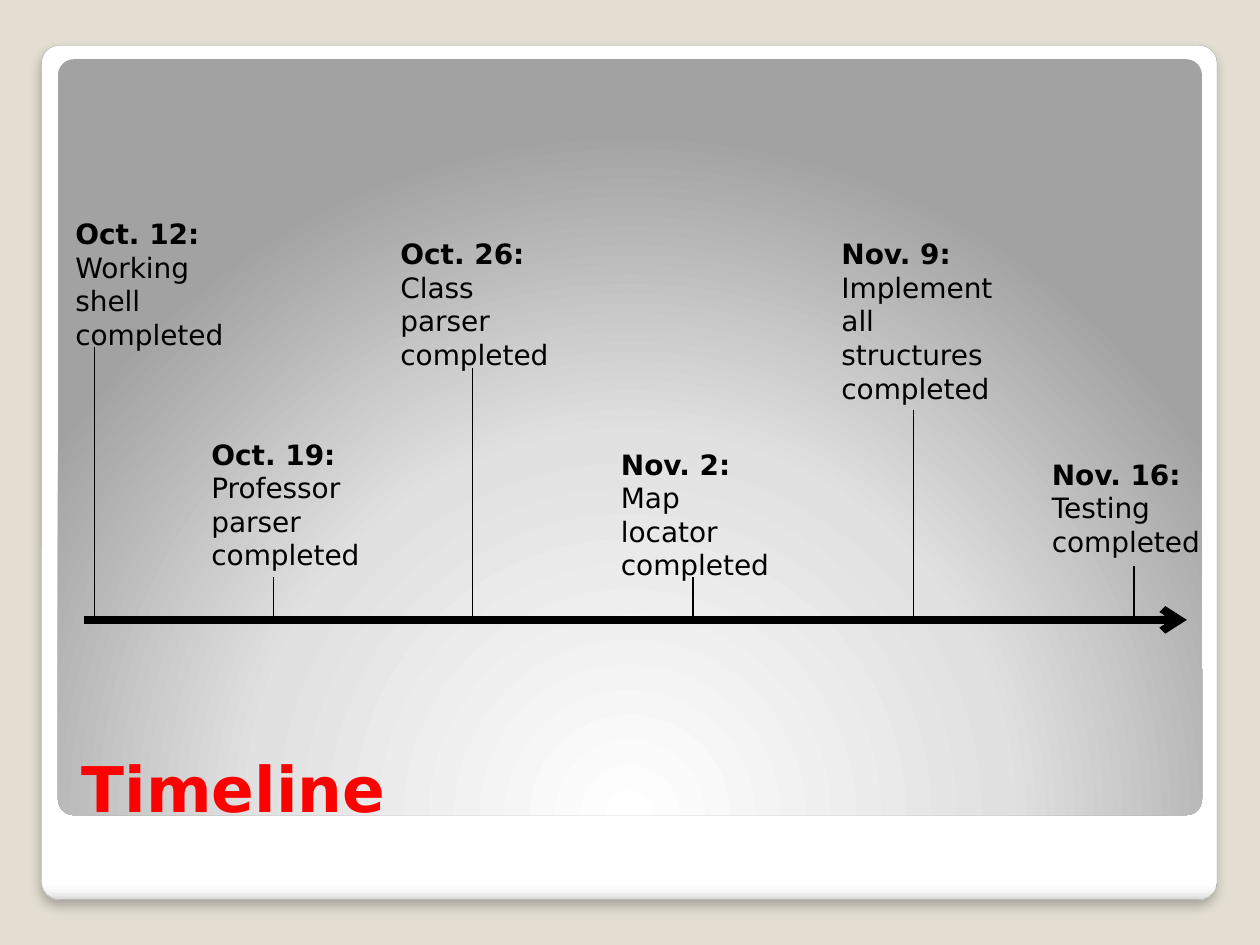
from lxml import etree
from pptx import Presentation, oxml, util as u
from pptx.dml.color import RGBColor
from pptx.enum import shapes, text
from pptx.oxml import ns

COLORS = {"backdrop": "E3DED1", "edge": "A4A4A4", "ink": "000000", "title": "FF0000"}
FONT = "DejaVu Sans"
AXIS_Y = 4.92


def style_font(font, **values):
    font.name = FONT
    font.color.rgb = RGBColor.from_string(values.pop("color"))
    for name, value in values.items():
        setattr(font, name, value)


def draw_line(start, end, width):
    line = slide.shapes.add_connector(
        shapes.MSO_CONNECTOR.STRAIGHT, *[u.Inches(v) for v in start + end])
    line.line.width = u.Pt(width)
    line.line.color.rgb = RGBColor.from_string(COLORS["ink"])
    etree.SubElement(line._element.spPr, ns.qn("a:effectLst"))
    return line


deck = Presentation()
deck.slide_width, deck.slide_height = u.Inches(10), u.Inches(7.5)
slide = deck.slides.add_slide(deck.slide_layouts[5])
slide.background.fill.solid()
slide.background.fill.fore_color.rgb = RGBColor.from_string(COLORS["backdrop"])

panels = [
    ((0.33, 0.36, 9.33, 6.78),
     [(0, "FFFFFF"), (98, "FFFFFF"), (99, "F7F7F7"), (100, "DADADA")],
     '<a:lin ang="5400000" scaled="0"/>'),
    ((0.46, 0.47, 9.08, 6),
     [(0, "FFFFFF"), (55, "E1E1E1"), (100, "A2A2A2")],
     '<a:path path="circle"><a:fillToRect l="50000" t="175000" r="50000" b="-75000"/></a:path>'),
]
cards = []
for place, stops, direction in panels:
    card = slide.shapes.add_shape(
        shapes.MSO_SHAPE.ROUNDED_RECTANGLE, *[u.Inches(v) for v in place])
    card.adjustments[0] = 0.021
    card.shadow.inherit = False
    card.line.fill.background()
    stop_xml = "".join(
        f'<a:gs pos="{pos * 1000}"><a:srgbClr val="{color}"/></a:gs>' for pos, color in stops)
    card._element.spPr.find(ns.qn("a:prstGeom")).addnext(oxml.parse_xml(
        f'<a:gradFill {ns.nsdecls("a")} rotWithShape="1">'
        f'<a:gsLst>{stop_xml}</a:gsLst>{direction}</a:gradFill>'))
    cards.append(card)

frame = cards[0]
frame.line.color.rgb = RGBColor.from_string(COLORS["edge"])
frame.line.width = u.Pt(0.16)
frame._element.spPr.find(ns.qn("a:effectLst")).append(oxml.parse_xml(
    f'<a:outerShdw {ns.nsdecls("a")} blurRad="{u.Pt(6)}" dist="{u.Pt(4)}" dir="5400000" '
    f'algn="t" rotWithShape="0"><a:srgbClr val="{COLORS["ink"]}">'
    '<a:alpha val="25000"/></a:srgbClr></a:outerShdw>'))

title = slide.shapes.title
slide.shapes._spTree.append(title._element)
title_place = {"left": 0.55, "top": 5.45, "width": 8.95, "height": 1.15}
for name, value in title_place.items():
    setattr(title, name, u.Inches(value))
title.text_frame.text = "Timeline"
title_format = {"vertical_anchor": text.MSO_ANCHOR.BOTTOM, "word_wrap": True,
                "auto_size": text.MSO_AUTO_SIZE.NONE}
for name, value in title_format.items():
    setattr(title.text_frame, name, value)
heading = title.text_frame.paragraphs[0]
heading.alignment = text.PP_ALIGN.LEFT
style_font(heading.runs[0].font, size=u.Pt(36), bold=True, color=COLORS["title"])

axis = draw_line((0.67, AXIS_Y), (9.42, AXIS_Y), 4.5)
etree.SubElement(axis.line._get_or_add_ln(), ns.qn("a:tailEnd"), type="arrow")

milestones = [
    ("Oct. 12:", "Working shell completed", 0.5, 1.67, 1.18, 0.75, 2.75),
    ("Oct. 19:", "Professor parser completed", 1.58, 3.42, 1.18, 2.17, 4.58),
    ("Oct. 26:", "Class parser completed", 3.08, 1.83, 1.18, 3.75, 2.92),
    ("Nov. 2:", "Map locator completed", 4.83, 3.5, 1.18, 5.5, 4.58),
    ("Nov. 9:", "Implement all structures completed", 6.58, 1.83, 1.45, 7.25, 3.25),
    ("Nov. 16:", "Testing completed", 8.25, 3.58, 0.91, 9, 4.49),
]
for date, task, left, top, height, tick_x, tick_top in milestones:
    tick = draw_line((tick_x, AXIS_Y), (tick_x, tick_top), 0.75)
    label = slide.shapes.add_textbox(*[u.Inches(v) for v in (left, top, 1.5, height)])
    label.text_frame.word_wrap = True
    label.text_frame.auto_size = text.MSO_AUTO_SIZE.SHAPE_TO_FIT_TEXT
    label.text_frame.text = f"{date}\n{task}"
    for paragraph, bold in zip(label.text_frame.paragraphs, (True, False)):
        style_font(paragraph.runs[0].font, size=u.Pt(16), bold=bold, color=COLORS["ink"])
    if date == "Nov. 16:":
        tick.end_connect(label, 2)

deck.save("out.pptx")
